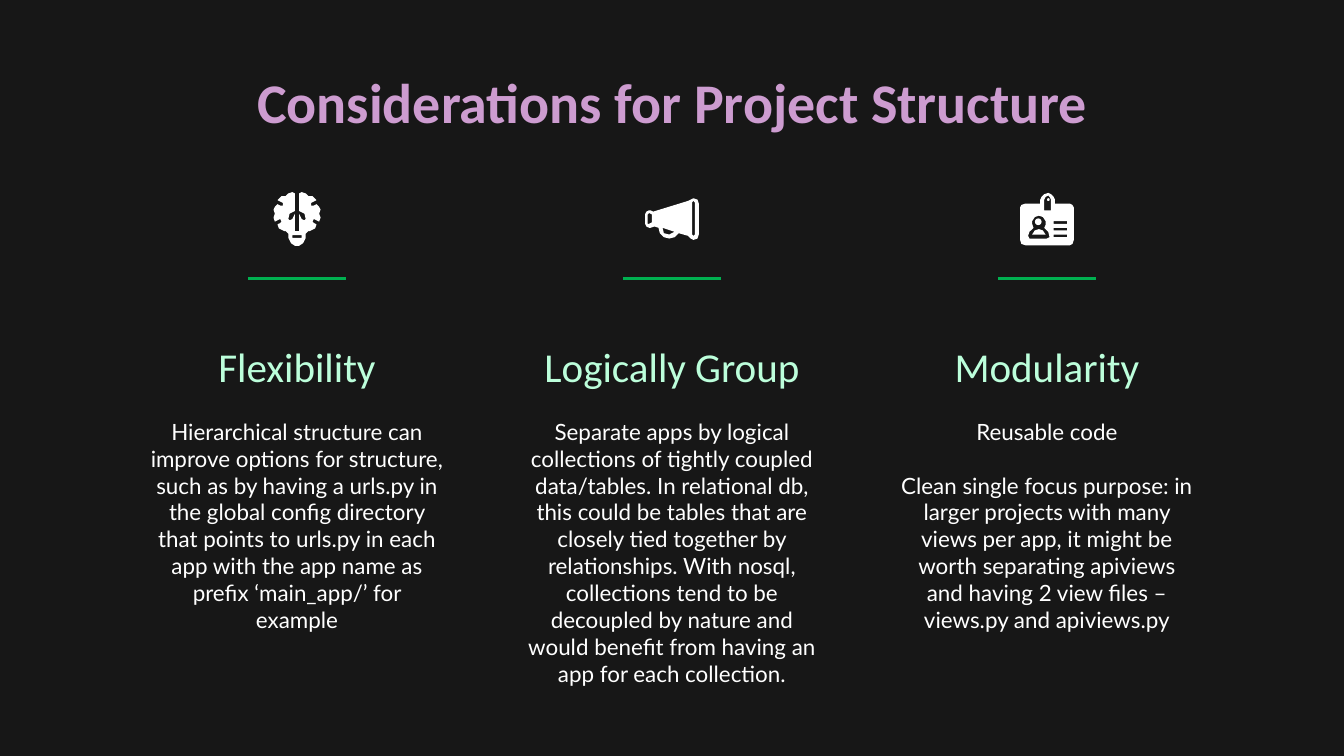
"""Build a slide with three considerations for structuring a project."""
from lxml.etree import SubElement
from pptx import Presentation
from pptx.dml.color import RGBColor
from pptx.enum.shapes import MSO_CONNECTOR, MSO_SHAPE
from pptx.enum.text import MSO_ANCHOR, PP_ALIGN
from pptx.oxml.ns import qn
from pptx.util import Inches, Pt

BACKGROUND = RGBColor(0x17, 0x17, 0x17)
WHITE = RGBColor(0xFF, 0xFF, 0xFF)
GREEN = RGBColor(0x00, 0xB0, 0x50)
MAUVE = RGBColor(0xCD, 0x9C, 0xD0)
MINT = RGBColor(0xBC, 0xFF, 0xDB)
SKY = RGBColor(0x9C, 0xCA, 0xED)

TITLE = "Considerations for Project Structure"

BRAIN_WIDTH = 35
BRAIN_HALF = [
    (16, 29), (16, 16), (14, 20), (12, 21), (11, 20), (12, 16), (16, 14), (16, 1),
    (14, 0), (11, 1), (9, 3), (6, 3), (3, 6), (7, 8), (7, 10), (5, 10), (3, 9),
    (1, 11), (0, 13), (1, 16), (0, 19), (1, 22), (5, 20), (6, 22), (5, 23), (3, 24),
    (4, 27), (8, 29), (9, 29), (11, 31), (11, 34), (13, 38), (16, 40),
]
BRAIN = BRAIN_HALF + [(BRAIN_WIDTH - x, y) for x, y in reversed(BRAIN_HALF)]
BULB_SLOT = [(14, 32), (21, 32), (21, 34), (14, 34)]

MEGAPHONE = [
    (36, 0), (32, 2), (6, 10), (4, 9), (3, 9), (1, 10), (0, 12), (0, 19), (1, 21),
    (3, 22), (4, 22), (7, 21), (10, 22), (11, 26), (14, 29), (18, 30), (22, 29),
    (25, 26), (32, 28), (34, 30), (36, 31), (39, 30), (40, 27), (40, 4), (39, 1),
]
MOUTHPIECE = [(3, 11), (5, 12), (5, 18), (3, 19), (2, 19), (2, 12)]
HANDLE = [(13, 22), (22, 25), (18, 27), (14, 26)]
BELL = [(36, 2), (37, 3), (37, 27), (36, 28), (35, 27), (35, 3)]

BADGE = [
    (21, 0), (18, 1), (16, 3), (15, 5), (15, 8), (4, 8), (1, 9), (0, 11), (0, 35),
    (1, 38), (4, 39), (37, 39), (39, 38), (40, 35), (40, 11), (39, 9), (37, 8),
    (26, 8), (26, 5), (25, 3), (23, 1),
]
CLIP = [(21, 2), (19, 3), (18, 5), (18, 13), (23, 13), (23, 5), (22, 3)]
PERSON = [
    (14, 17), (17, 18), (19, 21), (19, 24), (18, 26), (21, 29), (22, 33), (20, 34),
    (7, 34), (6, 32), (7, 29), (10, 26), (9, 23), (9, 21), (11, 18),
]
SHOULDERS = [(14, 27), (11, 28), (9, 31), (19, 31), (17, 28)]
TEXT_LINES = [[(25, y), (35, y), (35, y + 2), (25, y + 2)] for y in (21, 26, 31)]

COLUMNS = [
    {
        "heading": "Flexibility",
        "body": [
            "Hierarchical structure can improve options for structure, such as by "
            "having a urls.py in the global config directory that points to urls.py "
            "in each app with the app name as prefix ‘main_app/’ for example"
        ],
        "size": (BRAIN_WIDTH, 40),
        "outlines": [[BRAIN, BULB_SLOT]],
        "dots": [],
    },
    {
        "heading": "Logically Group",
        "body": [
            "Separate apps by logical collections of tightly coupled data/tables. In "
            "relational db, this could be tables that are closely tied together by "
            "relationships. With nosql, collections tend to be decoupled by nature "
            "and would benefit from having an app for each collection."
        ],
        "size": (40, 31),
        "outlines": [[MEGAPHONE, MOUTHPIECE, HANDLE, BELL]],
        "dots": [],
    },
    {
        "heading": "Modularity",
        "body": [
            "Reusable code",
            "Clean single focus purpose: in larger projects with many views per app, "
            "it might be worth separating apiviews and having 2 view files – "
            "views.py and apiviews.py",
        ],
        "size": (40, 39),
        "outlines": [[BADGE, CLIP, PERSON, *TEXT_LINES], [SHOULDERS]],
        "dots": [(11, 19, 5), (20, 4, 2)],
    },
]

UNIT = Inches(0.01)
WIDTH = Inches(10)
HEIGHT = WIDTH * 9 // 16
COLUMN_WIDTH, PITCH = Inches(2.38), Inches(2.79)
ICON_MIDDLE, RULE_TOP, RULE_WIDTH = Inches(1.63), Inches(2.07), Inches(0.73)
HEADING_TOP, HEADING_HEIGHT = Inches(2.49), Inches(0.52)
BODY_TOP, BODY_HEIGHT = HEADING_TOP + HEADING_HEIGHT, Inches(1.65)


def add_text(slide, box, paragraphs, font_name, size, colors, bold=False,
             anchor=MSO_ANCHOR.TOP):
    frame = slide.shapes.add_textbox(*box).text_frame
    frame.word_wrap = True
    frame.vertical_anchor = anchor
    frame.margin_left = frame.margin_right = Inches(0.1)
    frame.margin_top = frame.margin_bottom = Inches(0.1)
    for index, text in enumerate(paragraphs):
        paragraph = frame.add_paragraph() if index else frame.paragraphs[0]
        paragraph.alignment = PP_ALIGN.CENTER
        if index:
            paragraph.space_before = Pt(size * 1.2)
        run = paragraph.add_run()
        run.text = text
        font = run.font
        font.name, font.size, font.bold = font_name, Pt(size), bold
        if len(colors) == 1:
            font.fill.solid()
            font.fill.fore_color.rgb = colors[0]
        else:
            font.fill.gradient()
            font.fill.gradient_angle = 0
            for stop, color in zip(font.fill.gradient_stops, colors):
                stop.color.rgb = color


def paint_white(shape):
    shape.shadow.inherit = False
    shape.fill.solid()
    shape.fill.fore_color.rgb = WHITE
    shape.line.fill.background()


def add_icon(slide, center, column):
    width, height = column["size"]
    left = center - width * UNIT // 2
    top = ICON_MIDDLE - height * UNIT // 2
    for contours in column["outlines"]:
        builder = slide.shapes.build_freeform(*contours[0][0], scale=UNIT)
        builder.add_line_segments(contours[0][1:])
        for contour in contours[1:]:
            builder.move_to(*contour[0])
            builder.add_line_segments(contour[1:])
        paint_white(builder.convert_to_shape(left, top))
    for x, y, diameter in column["dots"]:
        paint_white(slide.shapes.add_shape(
            MSO_SHAPE.OVAL, left + x * UNIT, top + y * UNIT,
            diameter * UNIT, diameter * UNIT))


def add_rule(slide, center):
    rule = slide.shapes.add_connector(
        MSO_CONNECTOR.STRAIGHT, center - RULE_WIDTH // 2, RULE_TOP,
        center + RULE_WIDTH // 2, RULE_TOP)
    rule.line.color.rgb = GREEN
    rule.line.width = Pt(1.5)
    SubElement(rule._element.spPr, qn("a:effectLst"))


def main():
    deck = Presentation()
    deck.slide_width, deck.slide_height = WIDTH, HEIGHT
    slide = deck.slides.add_slide(deck.slide_layouts[6])
    slide.background.fill.solid()
    slide.background.fill.fore_color.rgb = BACKGROUND
    title_box = (Inches(0.79), Inches(0.4), Inches(8.43), Inches(0.63))
    add_text(slide, title_box, [TITLE], "Calibri", 30, [MAUVE, SKY], bold=True)
    for index, column in enumerate(COLUMNS):
        center = WIDTH // 2 + (index - len(COLUMNS) // 2) * PITCH
        left = center - COLUMN_WIDTH // 2
        add_icon(slide, center, column)
        add_rule(slide, center)
        add_text(slide, (left, HEADING_TOP, COLUMN_WIDTH, HEADING_HEIGHT),
                 [column["heading"]], "Calibri", 22, [MINT, SKY],
                 anchor=MSO_ANCHOR.BOTTOM)
        add_text(slide, (left, BODY_TOP, COLUMN_WIDTH, BODY_HEIGHT),
                 column["body"], "Lato", 12, [WHITE])
    deck.save("out.pptx")


if __name__ == "__main__":
    main()
